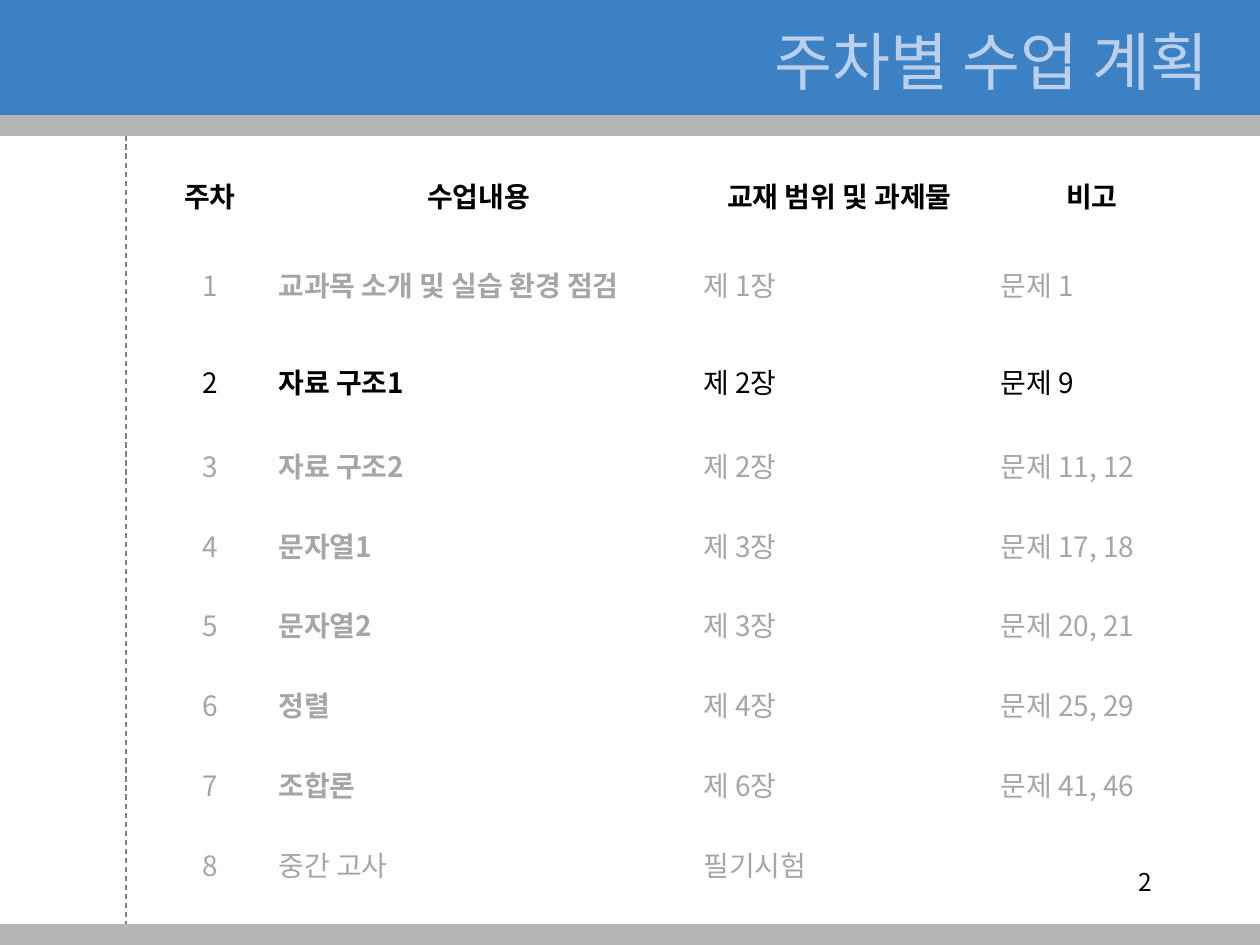
from dataclasses import dataclass

from lxml import etree
from pptx import Presentation
from pptx.dml.color import RGBColor as RGB
from pptx.enum.dml import MSO_LINE
from pptx.enum.shapes import MSO_CONNECTOR as CONN, MSO_SHAPE as SHAPE
from pptx.enum.text import MSO_ANCHOR as ANCHOR, PP_ALIGN as ALIGN
from pptx.oxml.ns import qn
from pptx.util import Emu, Pt

PX_PER_INCH = 126
NO_GRID = "{2D5ABB26-0587-4C30-8999-92F81FD0307C}"


@dataclass(frozen=True)
class Theme:
    """Colours, font and type sizes."""
    font: str = "Noto Sans CJK KR"
    blue: str = "3D81C5"
    pale: str = "BCCFEA"
    bar: str = "B4B4B4"
    rule: str = "808080"
    ink: str = "000000"
    muted: str = "A6A6A6"
    paper: str = "FFFFFF"
    title: int = 36
    body: int = 16
    number: int = 14


T = Theme()
HEADERS = ["주차", "수업내용", "교재 범위 및 과제물", "비고"]
WEEKS = [
    ("교과목 소개 및 실습 환경 점검", "제 1장", "문제 1"),
    ("자료 구조1", "제 2장", "문제 9"),
    ("자료 구조2", "제 2장", "문제 11, 12"),
    ("문자열1", "제 3장", "문제 17, 18"),
    ("문자열2", "제 3장", "문제 20, 21"),
    ("정렬", "제 4장", "문제 25, 29"),
    ("조합론", "제 6장", "문제 41, 46"),
    ("중간 고사", "필기시험", ""),
]
CURRENT_WEEK, EXAM_WEEK = 2, 8
COL_WIDTHS = [112, 425, 297, 208]
ROW_HEIGHTS = [72, 107, 87] + [80] * 6


def px(n):
    """Turn pixels into EMU."""
    return Emu(round(n * 914400 / PX_PER_INCH))


def add_run(p, text, size, color, bold=False):
    """Append one styled run to a paragraph."""
    r = p.add_run()
    r.text = text
    f = r.font
    f.name, f.size, f.bold = T.font, Pt(size), bold
    f.color.rgb = RGB.from_string(color)
    etree.SubElement(r._r.get_or_add_rPr(), qn("a:ea"), typeface=T.font)


def add_bar(s, x, y, w, h, color):
    """Add a plain filled rectangle."""
    sp = s.shapes.add_shape(SHAPE.RECTANGLE, px(x), px(y), px(w), px(h))
    sp.shadow.inherit = False
    sp.fill.solid()
    sp.fill.fore_color.rgb = RGB.from_string(color)
    sp.line.fill.background()


def add_label(s, x, y, w, h, text, size, color, anchor):
    """Add a right-aligned text box."""
    tf = s.shapes.add_textbox(px(x), px(y), px(w), px(h)).text_frame
    tf.word_wrap = True
    tf.vertical_anchor = anchor
    p = tf.paragraphs[0]
    p.alignment = ALIGN.RIGHT
    add_run(p, text, size, color)


def add_margin_rule(s, x, y, h):
    """Add the dashed vertical margin line."""
    c = s.shapes.add_connector(CONN.STRAIGHT, px(x), px(y), px(x), px(y + h))
    c.line.color.rgb = RGB.from_string(T.rule)
    c.line.width = Pt(0.75)
    c.line.dash_style = MSO_LINE.DASH
    etree.SubElement(c._element.spPr, qn("a:effectLst"))


def add_header(s, x, y, w, h):
    """Add the title band with the grey strip below it."""
    strip = 21
    add_bar(s, x, y + h - strip, w, strip, T.bar)
    add_bar(s, x, y, w, h - strip, T.blue)
    add_label(s, x + 481, y + 16, w - 506, 88, "주차별 수업 계획 ",
              T.title, T.pale, ANCHOR.MIDDLE)


def add_footer(s, x, y, w, h):
    """Add the bottom strip and the page number above it."""
    add_bar(s, x, y, w, h, T.bar)
    add_label(s, x + 903, y - 63, 262, 63, "2", T.number, T.ink, ANCHOR.TOP)


def fill_cell(cell, text, align, color, bold):
    """Style one table cell and write its text."""
    cell.fill.solid()
    cell.fill.fore_color.rgb = RGB.from_string(T.paper)
    cell.vertical_anchor = ANCHOR.MIDDLE
    p = cell.text_frame.paragraphs[0]
    p.alignment = align
    if text:
        add_run(p, text, T.body, color, bold)


def add_schedule(s, x, y):
    """Add the weekly schedule table."""
    rows = [HEADERS] + [(str(n), *week) for n, week in enumerate(WEEKS, 1)]
    frame = s.shapes.add_table(len(rows), len(HEADERS), px(x), px(y),
                               px(sum(COL_WIDTHS)), px(sum(ROW_HEIGHTS)))
    table = frame.table
    table.first_row = table.horz_banding = False
    table._tbl.tblPr.find(qn("a:tableStyleId")).text = NO_GRID
    for col, width in zip(table.columns, COL_WIDTHS):
        col.width = px(width)
    for row, height in zip(table.rows, ROW_HEIGHTS):
        row.height = px(height)
    aligns = [ALIGN.CENTER, ALIGN.JUSTIFY, ALIGN.LEFT, ALIGN.LEFT]
    for i, row in enumerate(rows):
        color = T.ink if i in (0, CURRENT_WEEK) else T.muted
        for j, text in enumerate(row):
            align = ALIGN.CENTER if i == 0 else aligns[j]
            bold = i == 0 or (j == 1 and i != EXAM_WEEK)
            fill_cell(table.cell(i, j), text, align, color, bold)


def main():
    """Build and save the slide."""
    prs = Presentation()
    prs.slide_width, prs.slide_height = px(1260), px(945)
    s = prs.slides.add_slide(prs.slide_layouts[6])
    add_margin_rule(s, 126, 0, 945)
    add_header(s, 0, 0, 1260, 136)
    add_schedule(s, 154, 159)
    add_footer(s, 0, 924, 1260, 21)
    prs.save("out.pptx")


if __name__ == "__main__":
    main()
